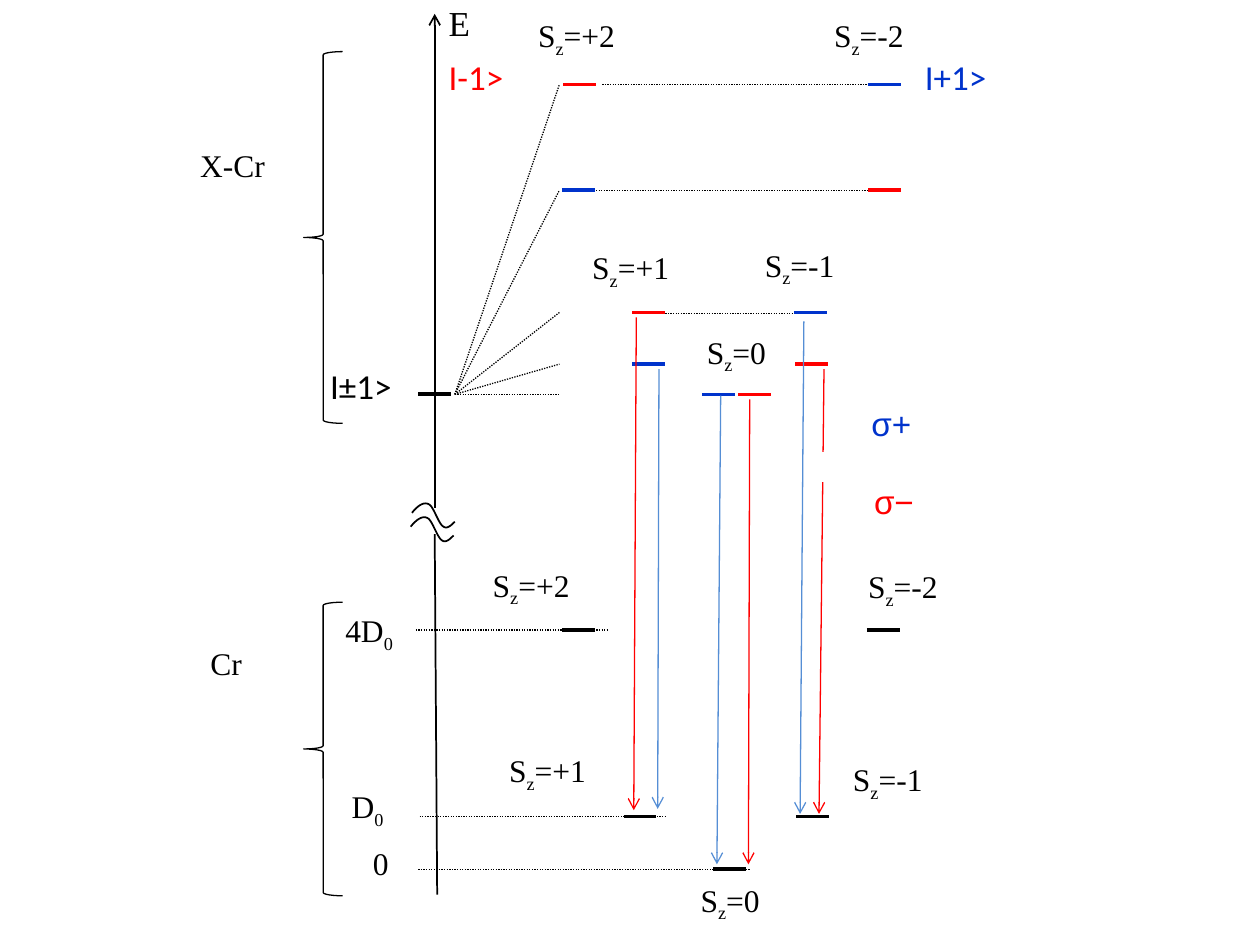
from lxml import etree
from pptx import Presentation
from pptx.dml.color import RGBColor as RGB
from pptx.enum.dml import MSO_LINE as Dash
from pptx.enum.shapes import MSO_CONNECTOR as Link, MSO_SHAPE as Shape
from pptx.enum.text import PP_ALIGN as Align
from pptx.oxml.ns import qn
from pptx.util import Inches as In, Pt

HUE = {"black": "000000", "red": "FF0000", "blue": "0033CC",
       "sky": "558ED5", "white": "FFFFFF"}
SERIF, SANS = "Times New Roman", "Calibri"

deck = Presentation()
deck.slide_width, deck.slide_height = In(10), In(7.5)
slide = deck.slides.add_slide(deck.slide_layouts[6])
shapes = slide.shapes


def line(x1, y1, x2, y2, hue="black", width=0.75, dots=False, arrow=False):
    link = shapes.add_connector(Link.STRAIGHT, In(x1), In(y1), In(x2), In(y2))
    link.line.color.rgb = RGB.from_string(HUE[hue])
    link.line.width = Pt(width)
    if dots:
        link.line.dash_style = Dash.ROUND_DOT
    props = link._element.spPr
    if arrow:
        etree.SubElement(props.get_or_add_ln(), qn("a:tailEnd"), type="arrow")
    etree.SubElement(props, qn("a:effectLst"))


def label(text, x, y, width, hue="black", size=18, font=SERIF, align=Align.LEFT):
    """Write text; every second part between underscores is a subscript."""
    box = shapes.add_textbox(In(x), In(y), In(width), In(0.4))
    frame = box.text_frame
    frame.word_wrap = align == Align.CENTER
    frame.margin_left = frame.margin_right = In(0.09)
    para = frame.paragraphs[0]
    para.alignment = align
    for i, part in enumerate(text.split("_")):
        run = para.add_run()
        run.text = part
        run.font.name, run.font.size = font, Pt(size)
        run.font.color.rgb = RGB.from_string(HUE[hue])
        if i % 2:
            run.font._element.set("baseline", "-25000")


# Energy rows, from the top down
TOP, HIGH, UPPER, LOWER, MID = 0.67, 1.51, 2.48, 2.89, 3.13
FOUR, ONE, ZERO = 5.0, 6.48, 6.9
AXIS, FAN, SPLIT, STEP = 3.45, 3.61, 4.44, 0.26

# Energy axis in two parts
line(AXIS, 4.03, AXIS, 0.11, width=1, arrow=True)
line(3.47, 7.1, AXIS, 4.24, width=1)

# Break marks on the axis, drawn from Bezier arcs
ARCS = [((3.27, 4.07), (3.31, 4.02), (3.36, 3.98), (3.4, 4)),
        ((3.4, 4), (3.44, 4.01), (3.48, 4.16), (3.52, 4.18)),
        ((3.52, 4.18), (3.55, 4.2), (3.58, 4.17), (3.61, 4.14))]
wave = []
for arc in ARCS:
    for t in [n / 10 for n in range(11)]:
        parts = ((1 - t) ** 3, 3 * t * (1 - t) ** 2, 3 * t * t * (1 - t), t ** 3)
        wave.append([sum(k * p[axis] for k, p in zip(parts, arc)) for axis in (0, 1)])
for dx, dy in [(0, 0), (-0.01, 0.11)]:
    dots = [(In(x + dx), In(y + dy)) for x, y in wave]
    pen = shapes.build_freeform(*dots[0])
    pen.add_line_segments(dots[1:], close=False)
    mark = pen.convert_to_shape()
    mark.shadow.inherit = False
    mark.fill.background()
    mark.line.color.rgb = RGB.from_string(HUE["black"])
    mark.line.width = Pt(1)

# Dotted guides: fan of split levels, then level to level
for y in (TOP, HIGH, UPPER, LOWER, MID):
    line(FAN, MID, SPLIT, y, dots=True)
for x1, x2, y in [(4.78, 6.89, TOP), (4.73, 6.89, HIGH), (5.28, 6.31, UPPER + 0.01),
                  (3.3, 4.83, FOUR), (3.33, 5.29, ONE), (3.32, 5.96, ZERO)]:
    line(x1, y, x2, y, dots=True)

# Energy levels
for x, y, hue in [(4.47, TOP, "red"), (6.89, TOP, "blue"),
                  (4.46, HIGH, "blue"), (6.89, HIGH, "red"),
                  (5.02, UPPER, "red"), (6.3, UPPER, "blue"),
                  (5.02, LOWER, "blue"), (6.31, LOWER, "red"),
                  (5.57, MID, "blue"), (5.86, MID, "red"),
                  (3.32, MID, "black"), (4.46, FOUR, "black"), (6.88, FOUR, "black"),
                  (4.95, ONE, "black"), (6.32, ONE, "black"), (5.66, ZERO, "black")]:
    line(x, y, x + STEP, y, hue, 2.25 if hue == "black" else 2)

# Optical transitions
for x1, y1, x2, y2, hue in [(5.05, 2.52, 5.03, 6.43, "red"), (5.23, 2.93, 5.22, 6.42, "sky"),
                            (5.72, 3.14, 5.69, 6.86, "sky"), (5.95, 3.17, 5.94, 6.86, "red"),
                            (6.38, 2.55, 6.35, 6.46, "sky"), (6.54, 2.93, 6.5, 6.46, "red")]:
    line(x1, y1, x2, y2, hue, arrow=True)

# Gap in the last transition
gap = shapes.add_shape(Shape.RECTANGLE, In(6.45), In(3.6), In(0.36), In(0.21))
gap.shadow.inherit = False
gap.fill.solid()
gap.fill.fore_color.rgb = gap.line.color.rgb = RGB.from_string(HUE["white"])
gap.line.width = Pt(2)

# Braces around the two groups of levels
for y, height in [(0.41, 2.95), (4.78, 2.33)]:
    brace = shapes.add_shape(Shape.LEFT_BRACE, In(2.41), In(y), In(0.31), In(height))
    brace.shadow.inherit = False
    brace.fill.background()
    brace.line.color.rgb = RGB.from_string(HUE["black"])
    brace.line.width = Pt(0.75)

# Spin labels
WIDE = {"+": 0.81, "-": 0.76, "0": 0.67}
for spin, x, y in [("+2", 4.18, 0.08), ("-2", 6.53, 0.08), ("+1", 4.61, 1.92),
                   ("-1", 5.98, 1.9), ("0", 5.52, 2.59), ("+2", 3.82, 4.44),
                   ("-2", 6.8, 4.45), ("+1", 3.95, 5.91), ("-1", 6.68, 5.98),
                   ("0", 5.47, 6.94)]:
    label("S_z_=" + spin, x, y, WIDE[spin[0]])

# Axis, group and state labels
label("E", 3.47, -0.04, 0.71, size=20)
for text, x, y, width in [("4D_0", 2.65, 4.8, 0.59), ("D_0", 2.7, 6.2, 0.47),
                          ("0", 2.87, 6.65, 0.33)]:
    label(text, x, y, width)
for text, x, y in [("X-Cr", 1.04, 1.11), ("Cr", 0.99, 5.06)]:
    label(text, x, y, 1.61, align=Align.CENTER)
for text, x, y, hue in [("I±1>", 2.53, 2.84, "black"), ("I-1>", 3.47, 0.39, "red"),
                        ("I+1>", 7.25, 0.39, "blue")]:
    label(text, x, y, 0.85, hue, 20, SANS)
for text, x, y, hue in [("σ+", 6.46, 3.15, "blue"), ("σ−", 6.48, 3.77, "red")]:
    label(text, x, y, 1.23, hue, 19, "Arial", Align.CENTER)

deck.save("out.pptx")
